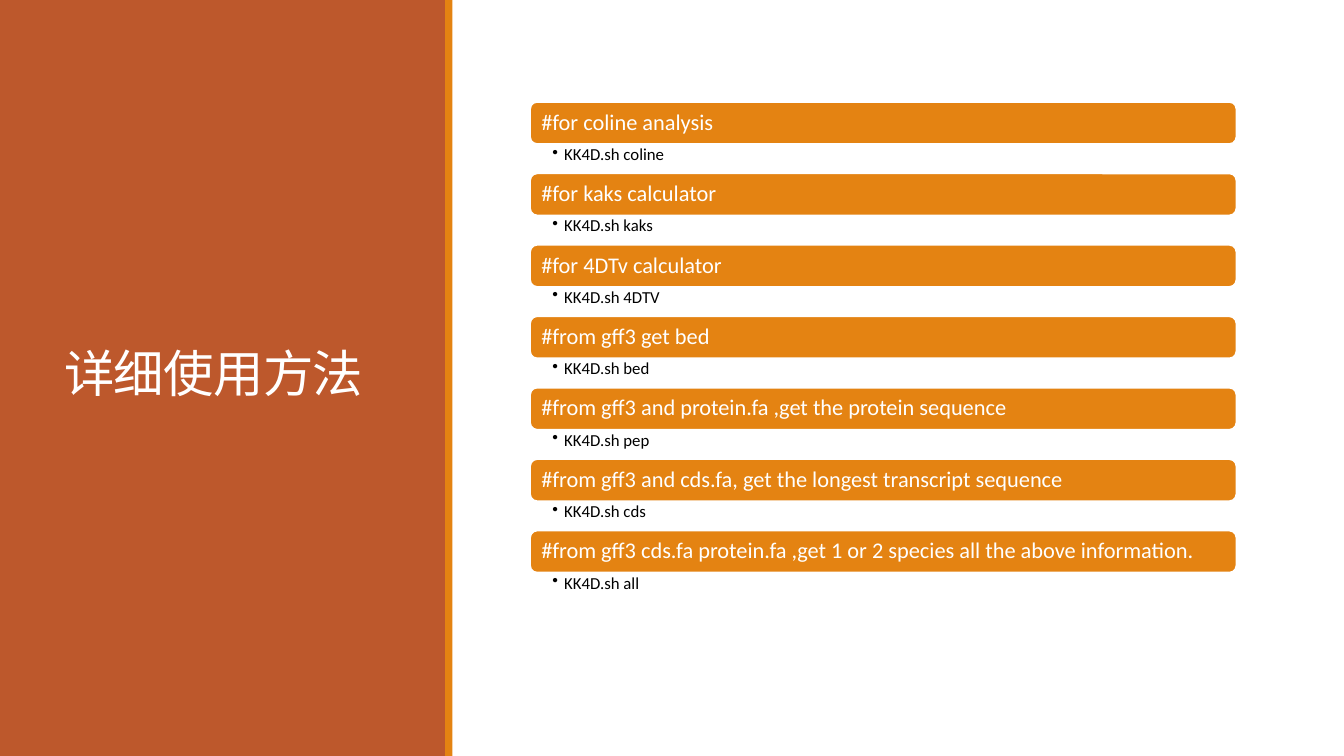
import pptx
import pptx.util
import pptx.dml.color
import pptx.enum.shapes
import pptx.enum.text
import pptx.oxml.ns
import lxml.etree

Cm, Pt = pptx.util.Cm, pptx.util.Pt
SHAPE = pptx.enum.shapes.MSO_SHAPE
ANCHOR = pptx.enum.text.MSO_ANCHOR
ALIGN = pptx.enum.text.PP_ALIGN

STEPS = [
    ("#for coline analysis", "KK4D.sh coline"),
    ("#for kaks calculator", "KK4D.sh kaks"),
    ("#for 4DTv calculator", "KK4D.sh 4DTV"),
    ("#from gff3 get bed", "KK4D.sh bed"),
    ("#from gff3 and protein.fa ,get the protein sequence", "KK4D.sh pep"),
    ("#from gff3 and cds.fa, get the longest transcript sequence", "KK4D.sh cds"),
    ("#from gff3 cds.fa protein.fa ,get 1 or 2 species all the above information.",
     "KK4D.sh all"),
]


class Deck:
    colors = {"rust": "BD582C", "orange": "E48312", "white": "FFFFFF", "black": "000000"}
    font = "Calibri"

    def __init__(self, slide):
        self.slide = slide

    def color(self, name):
        return pptx.dml.color.RGBColor.from_string(self.colors[name])

    def block(self, box, fill, kind=SHAPE.RECTANGLE, line=None):
        shape = self.slide.shapes.add_shape(kind, *map(Cm, box))
        shape.shadow.inherit = False
        shape.fill.solid()
        shape.fill.fore_color.rgb = self.color(fill)
        if line:
            shape.line.color.rgb = self.color(line)
            shape.line.width = Pt(1.25)
        else:
            shape.line.fill.background()
        return shape

    def label(self, shape, text, size, color, insets, anchor=ANCHOR.MIDDLE, spacing=0.9):
        frame = shape.text_frame
        frame.word_wrap = True
        frame.vertical_anchor = anchor
        (frame.margin_left, frame.margin_top,
         frame.margin_right, frame.margin_bottom) = map(Cm, insets)
        para = frame.paragraphs[0]
        para.text = text
        para.alignment = ALIGN.LEFT
        para.line_spacing = spacing
        para.font.name = self.font
        para.font.size = Pt(size)
        para.font.color.rgb = self.color(color)
        return para

    def title(self, box, text):
        shape = self.slide.shapes.add_textbox(*map(Cm, box))
        para = self.label(shape, text, 36, "white", (0.25, 0.13, 0.25, 0.13), spacing=0.85)
        para.runs[0]._r.get_or_add_rPr().set("spc", "-50")

    def bar(self, box, text):
        shape = self.block(box, "orange", SHAPE.ROUNDED_RECTANGLE, "white")
        self.label(shape, text, 16, "white", (0.23, 0.1, 0.23, 0.1))

    def bullet(self, box, text):
        shape = self.slide.shapes.add_textbox(*map(Cm, box))
        para = self.label(shape, text, 12, "black", (0.56, 0.05, 0.3, 0.05), ANCHOR.TOP)
        para.level = 1
        props = para._p.get_or_add_pPr()
        props.set("marL", str(Cm(0.3)))
        props.set("indent", str(-Cm(0.3)))
        mark = pptx.oxml.ns.qn("a:buChar")
        spot = props.find(pptx.oxml.ns.qn("a:defRPr"))
        spot.addprevious(lxml.etree.Element(mark, char="•"))


def main():
    prs = pptx.Presentation()
    prs.slide_width, prs.slide_height = Cm(33.87), Cm(19.05)
    deck = Deck(prs.slides.add_slide(prs.slide_layouts[6]))

    # Side panel with title
    deck.block((0, 0, 11.25, 19.05), "rust")
    deck.title((1.37, 1.68, 8.56, 15.65), "详细使用方法")
    deck.block((11.22, 0, 0.18, 19.05), "orange")

    # Headings, each with its command below
    left, top, width, step = 13.36, 2.57, 17.8, 1.8
    high = 1.06
    for i, (head, command) in enumerate(STEPS):
        y = top + i * step
        deck.bar((left, y, width, high), head)
        deck.bullet((left, y + high, width, step - high), command)

    prs.save("out.pptx")


if __name__ == "__main__":
    main()
